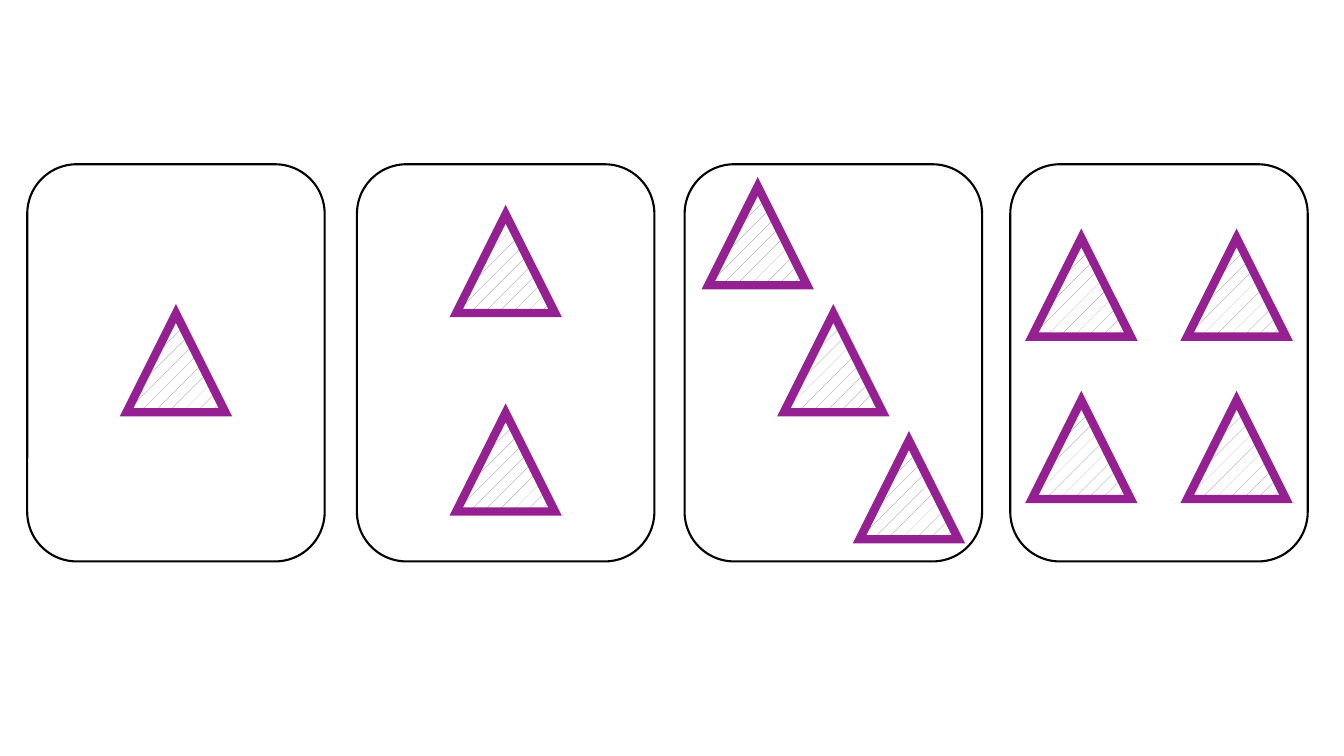
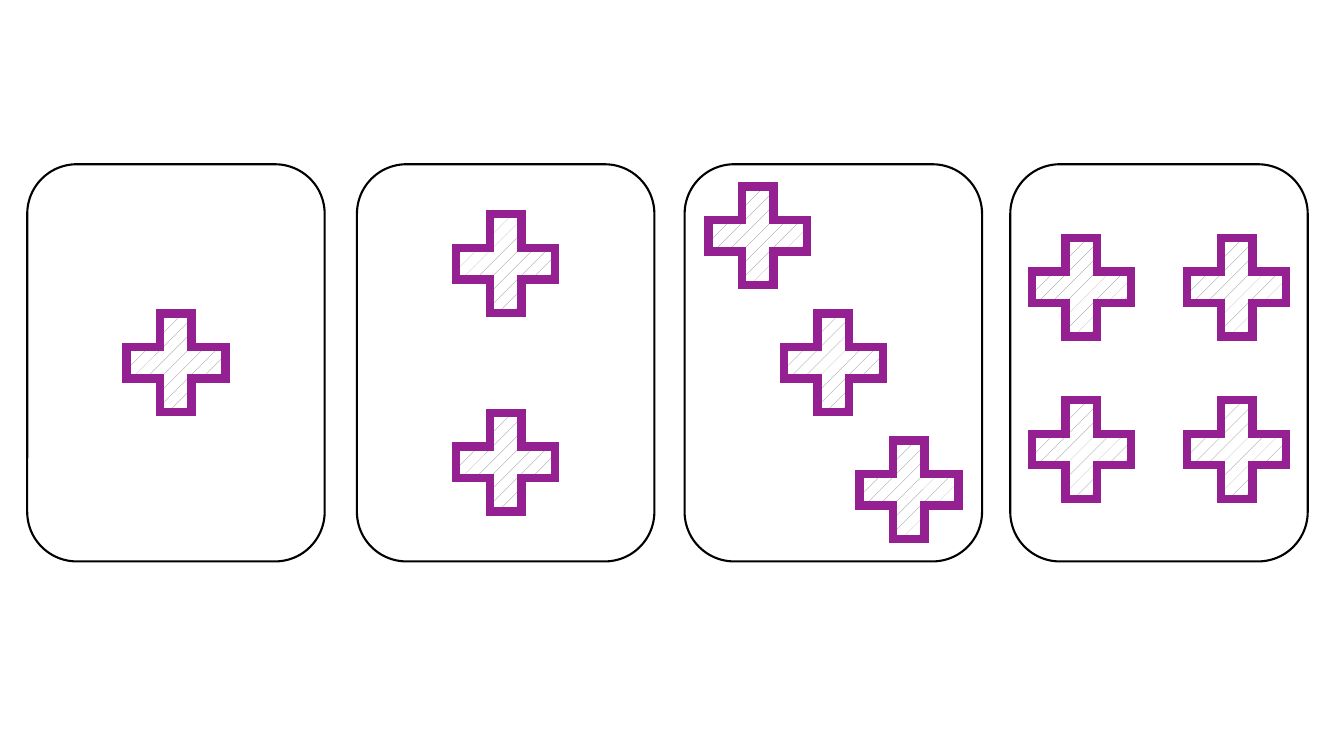
from lxml.etree import SubElement
from pptx import Presentation
from pptx.dml.color import RGBColor
from pptx.enum.dml import MSO_PATTERN
from pptx.enum.shapes import MSO_SHAPE
from pptx.oxml.ns import qn
from pptx.util import Inches, Pt

COLORS = {"paper": "FFFFFF", "edge": "000000", "symbol": "942092", "hatch": "808080"}

# Card grid, in inches
CARD_WIDTH, CARD_HEIGHT, CARD_TOP = 2.95, 3.94, 1.63
CARD_LEFTS = [0.27, 3.54, 6.79, 10.02]
SYMBOL_SIZE = 0.98

# Symbol centres on each card, measured from the card's centre
LAYOUTS = [
    [(0, 0)],
    [(0, side * CARD_HEIGHT / 4) for side in (-1, 1)],
    [(step * 0.75, step * 1.26) for step in (-1, 0, 1)],
    [(column * 0.77, row) for row in (-0.75, 0.86) for column in (-1, 1)],
]

# Symbol and its adjustments for each slide
SYMBOLS = [(MSO_SHAPE.ISOSCELES_TRIANGLE, []), (MSO_SHAPE.CROSS, [0.341])]


def color(name):
    return RGBColor.from_string(COLORS[name])


def add_outlined(page, kind, left, top, width, height, line_color, line_width):
    shape = page.shapes.add_shape(
        kind, Inches(left), Inches(top), Inches(width), Inches(height))
    shape.shadow.inherit = False
    shape.line.color.rgb = color(line_color)
    shape.line.width = Pt(line_width)
    return shape


deck = Presentation()
deck.slide_width, deck.slide_height = Inches(13.33), Inches(7.5)

for kind, adjustments in SYMBOLS:
    page = deck.slides.add_slide(deck.slide_layouts[6])

    # Cards
    for left in CARD_LEFTS:
        card = add_outlined(page, MSO_SHAPE.ROUNDED_RECTANGLE, left, CARD_TOP,
                            CARD_WIDTH, CARD_HEIGHT, "edge", 1.5)
        card.fill.solid()
        card.fill.fore_color.rgb = color("paper")

    # Symbols, one to four on a card
    for card_left, centres in zip(CARD_LEFTS, LAYOUTS):
        for across, down in centres:
            left = card_left + (CARD_WIDTH - SYMBOL_SIZE) / 2 + across
            top = CARD_TOP + (CARD_HEIGHT - SYMBOL_SIZE) / 2 + down
            symbol = add_outlined(page, kind, left, top,
                                  SYMBOL_SIZE, SYMBOL_SIZE, "symbol", 6)
            for index, value in enumerate(adjustments):
                symbol.adjustments[index] = value
            symbol.fill.patterned()
            symbol.fill.pattern = MSO_PATTERN.PERCENT_5
            symbol.fill.fore_color.rgb = color("hatch")
            symbol.fill.back_color.rgb = color("paper")
            # Sharp corners on the thick outline
            outline = symbol.element.spPr.find(qn("a:ln"))
            SubElement(outline, qn("a:miter"), lim="800000")

deck.save("out.pptx")
